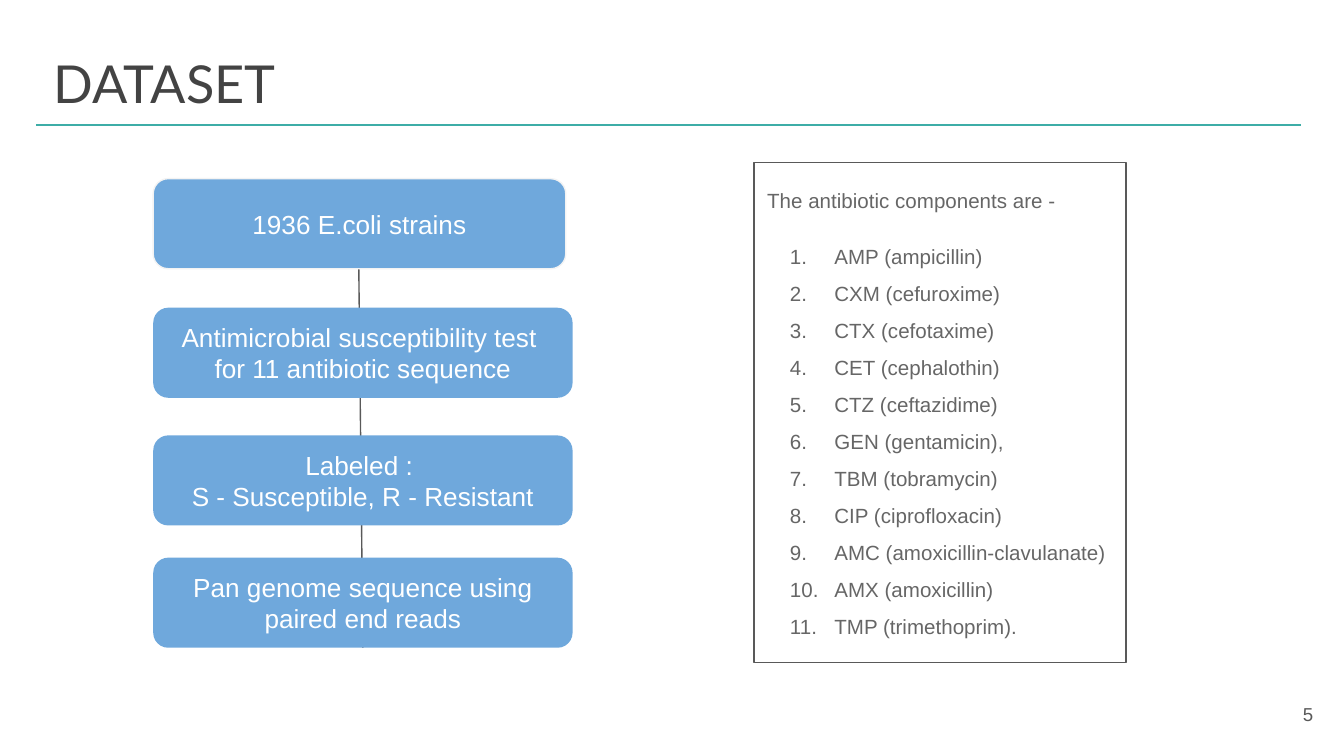
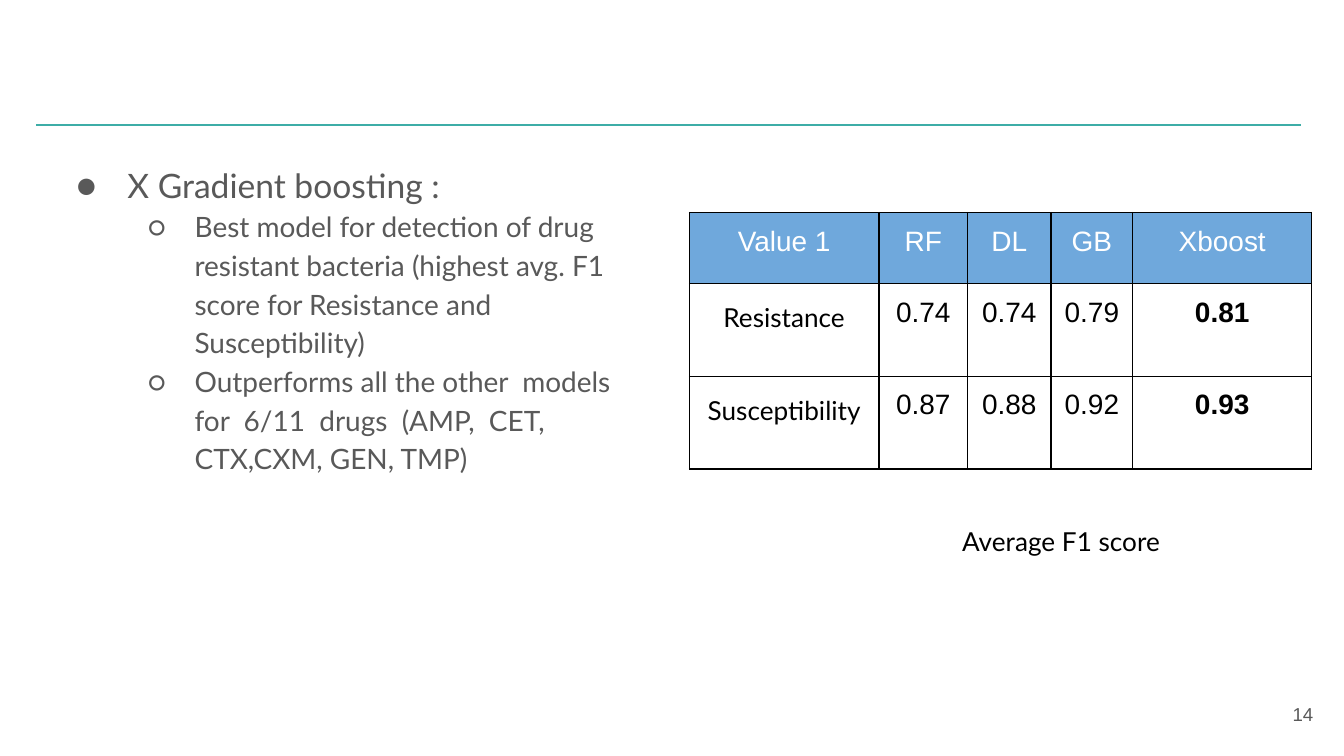
import pptx
import pptx.dml.color
import pptx.enum.shapes
import pptx.enum.text
import pptx.oxml
import pptx.oxml.ns
import pptx.util
from lxml import etree

Inches = pptx.util.Inches
Pt = pptx.util.Pt
ALIGN = pptx.enum.text.PP_ALIGN
ANCHOR = pptx.enum.text.MSO_ANCHOR
SHAPES = pptx.enum.shapes.MSO_SHAPE
qn = pptx.oxml.ns.qn

SLIDE_WIDTH = 10
SLIDE_HEIGHT = SLIDE_WIDTH * 9 / 16

COLORS = {
    "rule": "3EADA7",
    "title": "434343",
    "blue": "6FA8DC",
    "white": "FFFFFF",
    "pale": "F3F3F3",
    "gray": "595959",
    "list": "666666",
    "black": "000000",
}

FONTS = {
    "title": {"name": "Lato", "size": Pt(28), "color": "title"},
    "page": {"name": "Arial", "size": Pt(10), "color": "gray"},
    "step": {"name": "Arial", "size": Pt(14), "color": "white"},
    "list": {"name": "Arial", "size": Pt(11), "color": "list"},
    "bullet": {"name": "Lato", "size": Pt(18), "color": "gray"},
    "sub_bullet": {"name": "Lato", "size": Pt(15), "color": "gray"},
    "label": {"name": "Lato", "size": Pt(14), "color": "black"},
    "head": {"name": "Arial", "size": Pt(15), "color": "white"},
    "score": {"name": "Arial", "size": Pt(15), "color": "black"},
    "best": {"name": "Arial", "size": Pt(15), "color": "black", "bold": True},
}

MARGINS = dict.fromkeys(
    ["margin_left", "margin_top", "margin_right", "margin_bottom"], Inches(0.1))

STEPS = [  # offset from the top of the flow, width, lines
    (0, 3.07, ["1936 E.coli strains"]),
    (0.96, 3.12, ["Antimicrobial susceptibility test ", "for 11 antibiotic sequence"]),
    (1.91, 3.12, ["Labeled :", "S - Susceptible, R - Resistant"]),
    (2.82, 3.12, ["Pan genome sequence using paired end reads"]),
]
STEP_HEIGHT = 0.67

ANTIBIOTICS = [
    "AMP (ampicillin)", "CXM (cefuroxime)", "CTX (cefotaxime)", "CET (cephalothin)",
    "CTZ (ceftazidime)", "GEN (gentamicin),", "TBM (tobramycin)", "CIP (ciprofloxacin)",
    "AMC (amoxicillin-clavulanate)", "AMX (amoxicillin)", "TMP (trimethoprim).",
]

FINDINGS = [
    "Best model for detection of drug resistant bacteria "
    "(highest avg. F1 score for Resistance and Susceptibility)",
    "Outperforms all the other  models  for  6/11  drugs  (AMP,  CET,  CTX,CXM, GEN, TMP)",
]

SCORES = [
    ["Value 1", "RF", "DL", "GB", "Xboost"],
    ["Resistance", "0.74", "0.74", "0.79", "0.81"],
    ["Susceptibility", "0.87", "0.88", "0.92", "0.93"],
]
COLUMN_WIDTHS = [1.41, 0.66, 0.62, 0.61, 1.33]
ROW_HEIGHTS = [0.53, 0.69, 0.69]


def rgb(color):
    return pptx.dml.color.RGBColor.from_string(COLORS[color])


def set_attributes(target, formats):
    for name, value in formats.items():
        setattr(target, name, value)


def set_indent(paragraph, left, first=0.0):
    properties = paragraph._p.get_or_add_pPr()
    properties.set("marL", str(Inches(left)))
    properties.set("indent", str(Inches(first)))


def set_bullet(paragraph, font, tag, **attributes):
    """Give the paragraph a bullet in the colour and typeface of its text."""
    properties = paragraph._p.get_or_add_pPr()
    bullet_color = etree.SubElement(properties, qn("a:buClr"))
    etree.SubElement(bullet_color, qn("a:srgbClr"), val=COLORS[FONTS[font]["color"]])
    etree.SubElement(properties, qn("a:buFont"), typeface=FONTS[font]["name"])
    etree.SubElement(properties, qn(tag), **attributes)


def add_paragraph(frame, text, font, **formats):
    """Fill the empty first paragraph of the frame, or append a new one."""
    first = frame.paragraphs[0]
    paragraph = frame.add_paragraph() if first.runs else first
    set_attributes(paragraph, formats)
    run = paragraph.add_run()
    run.text = text
    values = dict(FONTS[font])
    run.font.color.rgb = rgb(values.pop("color"))
    set_attributes(run.font, values)
    return paragraph


def set_frame(frame, anchor):
    set_attributes(frame, {"word_wrap": True, "vertical_anchor": anchor, **MARGINS})
    return frame


def add_text_frame(slide, box, anchor=ANCHOR.TOP):
    shape = slide.shapes.add_textbox(*map(Inches, box))
    return set_frame(shape.text_frame, anchor)


def add_box(slide, kind, box, fill, line=None):
    """Add a filled shape and return its text frame."""
    shape = slide.shapes.add_shape(kind, *map(Inches, box))
    shape.shadow.inherit = False
    shape.fill.solid()
    shape.fill.fore_color.rgb = rgb(fill)
    if line:
        shape.line.color.rgb = rgb(line)
        shape.line.width = Pt(0.75)
    else:
        shape.line.fill.background()
    return set_frame(shape.text_frame, ANCHOR.MIDDLE)


def add_line(slide, start, end, color):
    line = slide.shapes.add_connector(
        pptx.enum.shapes.MSO_CONNECTOR.STRAIGHT, *map(Inches, start + end))
    line.line.color.rgb = rgb(color)
    line.line.width = Pt(0.75)
    etree.SubElement(line._element.spPr, qn("a:effectLst"))


def add_base_slide(presentation, page, title=None):
    """Add a slide with the shared rule, page number and optional title."""
    slide = presentation.slides.add_slide(presentation.slide_layouts[6])
    add_line(slide, (0.27, 0.93), (9.68, 0.93), "rule")
    if title:
        add_paragraph(add_text_frame(slide, (0.3, 0.28, 9.32, 0.63)), title, "title")
    number = add_text_frame(slide, (9.27, 5.1, 0.6, 0.43), ANCHOR.MIDDLE)
    add_paragraph(number, str(page), "page", alignment=ALIGN.RIGHT)
    return slide


def add_flow(slide, box):
    left, top, width, height = box
    add_line(slide, (left + 1.53, top + STEP_HEIGHT), (left + width / 2, top + height), "gray")
    for index, (offset, step_width, lines) in enumerate(STEPS):
        frame = add_box(
            slide, SHAPES.ROUNDED_RECTANGLE, (left, top + offset, step_width, STEP_HEIGHT),
            "blue", "pale" if index == 0 else None)
        for text in lines:
            paragraph = add_paragraph(frame, text, "step", alignment=ALIGN.CENTER)
            if text == "Labeled :":
                paragraph.alignment = ALIGN.LEFT
                set_indent(paragraph, 0.5, 0.5)


def add_antibiotics(slide, box):
    left, top, width, height = box
    add_box(slide, SHAPES.RECTANGLE, box, "white", "gray")
    frame = add_text_frame(slide, (left, top, width, height - 0.73))
    add_paragraph(frame, "The antibiotic components are -", "list",
                  space_before=Pt(10), line_spacing=1.5)
    for index, text in enumerate(ANTIBIOTICS):
        paragraph = add_paragraph(frame, text, "list", line_spacing=1.5,
                                  space_before=Pt(0 if index else 10))
        set_indent(paragraph, 0.5, -0.33)
        set_bullet(paragraph, "list", "a:buAutoNum", type="arabicPeriod")


def add_findings(slide, box):
    frame = add_text_frame(slide, box)
    heading = add_paragraph(frame, "X Gradient boosting :", "bullet", line_spacing=1.15)
    set_indent(heading, 0.5, -0.38)
    set_bullet(heading, "bullet", "a:buChar", char="●")
    for text in FINDINGS:
        paragraph = add_paragraph(frame, text, "sub_bullet", level=1, line_spacing=1.15)
        set_indent(paragraph, 1, -0.35)
        set_bullet(paragraph, "sub_bullet", "a:buChar", char="○")


def set_borders(cell):
    properties = cell._tc.get_or_add_tcPr()
    for side in ("a:lnL", "a:lnR", "a:lnT", "a:lnB"):
        border = etree.SubElement(properties, qn(side), w=str(Pt(0.75)))
        fill = etree.SubElement(border, qn("a:solidFill"))
        etree.SubElement(fill, qn("a:srgbClr"), val=COLORS["black"])


def add_scores(slide, left, top):
    """Place the table of scores, sized by its rows and columns."""
    size = sum(COLUMN_WIDTHS), sum(ROW_HEIGHTS)
    table = slide.shapes.add_table(
        len(SCORES), len(COLUMN_WIDTHS), *map(Inches, (left, top, *size))).table
    set_attributes(table, {"first_row": False, "horz_banding": False})
    for column, width in zip(table.columns, COLUMN_WIDTHS):
        column.width = Inches(width)
    for row, height in zip(table.rows, ROW_HEIGHTS):
        row.height = Inches(height)
    last = len(COLUMN_WIDTHS) - 1
    for row, values in enumerate(SCORES):
        for column, text in enumerate(values):
            cell = table.cell(row, column)
            set_attributes(cell, MARGINS)
            set_borders(cell)
            formats = {"alignment": ALIGN.CENTER}
            if row == 0:
                font = "head"
                cell.fill.solid()
                cell.fill.fore_color.rgb = rgb("blue")
            else:
                font = {0: "label", last: "best"}.get(column, "score")
                cell.fill.background()
                if column == 0:
                    formats.update(line_spacing=1.15, space_after=Pt(16))
            add_paragraph(cell.text_frame, text, font, **formats)


def add_caption(slide, box):
    caption = add_paragraph(add_text_frame(slide, box), "Average F1 score", "label")
    set_indent(caption, 0.15)


def add_dataset_slide(presentation):
    slide = add_base_slide(presentation, 5, "DATASET")
    add_flow(slide, (1.14, 1.33, 3.12, 3.49))
    add_antibiotics(slide, (5.61, 1.21, 2.77, 3.72))


def add_results_slide(presentation):
    slide = add_base_slide(presentation, 14)
    add_findings(slide, (0.35, 1.08, 4.57, 3.92))
    add_scores(slide, 5.13, 1.58)
    add_caption(slide, (6.91, 3.81, 2.55, 0.47))


def main():
    presentation = pptx.Presentation()
    set_attributes(presentation, {
        "slide_width": Inches(SLIDE_WIDTH), "slide_height": Inches(SLIDE_HEIGHT)})
    add_dataset_slide(presentation)
    add_results_slide(presentation)
    presentation.save("out.pptx")


if __name__ == "__main__":
    main()
